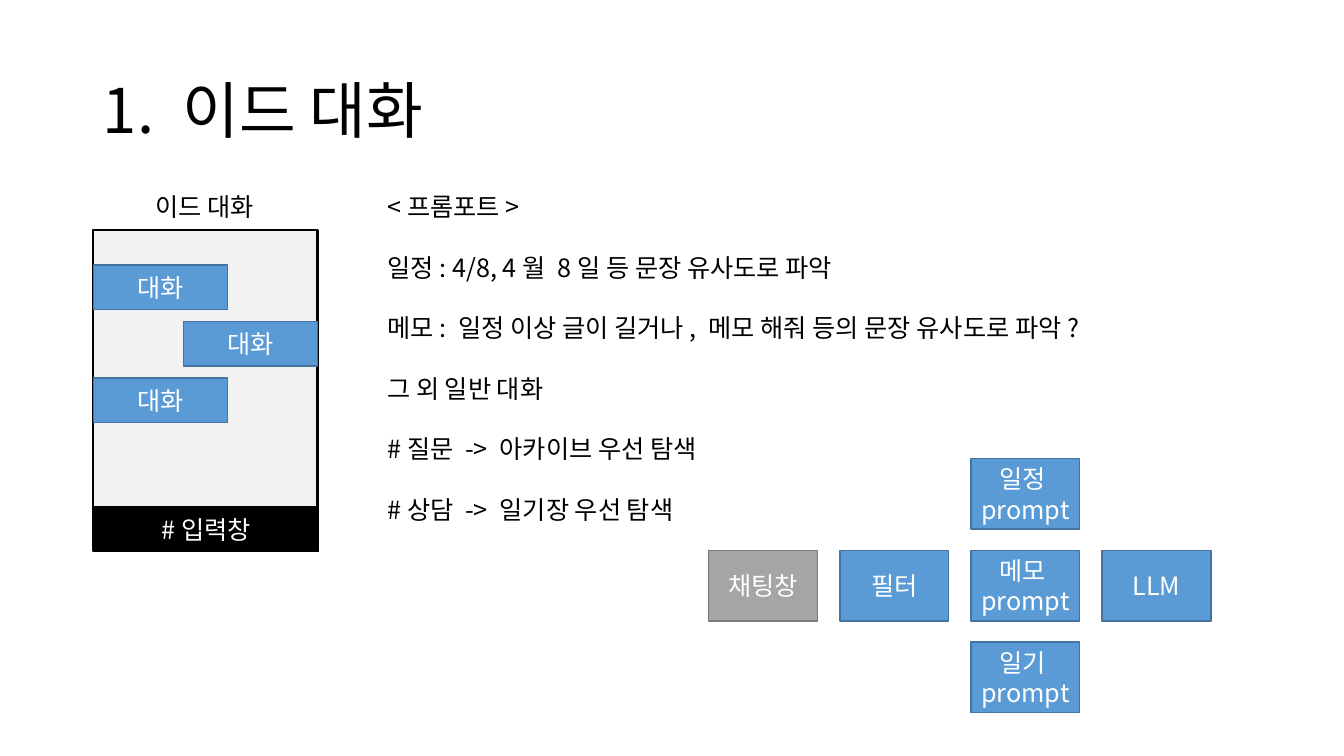
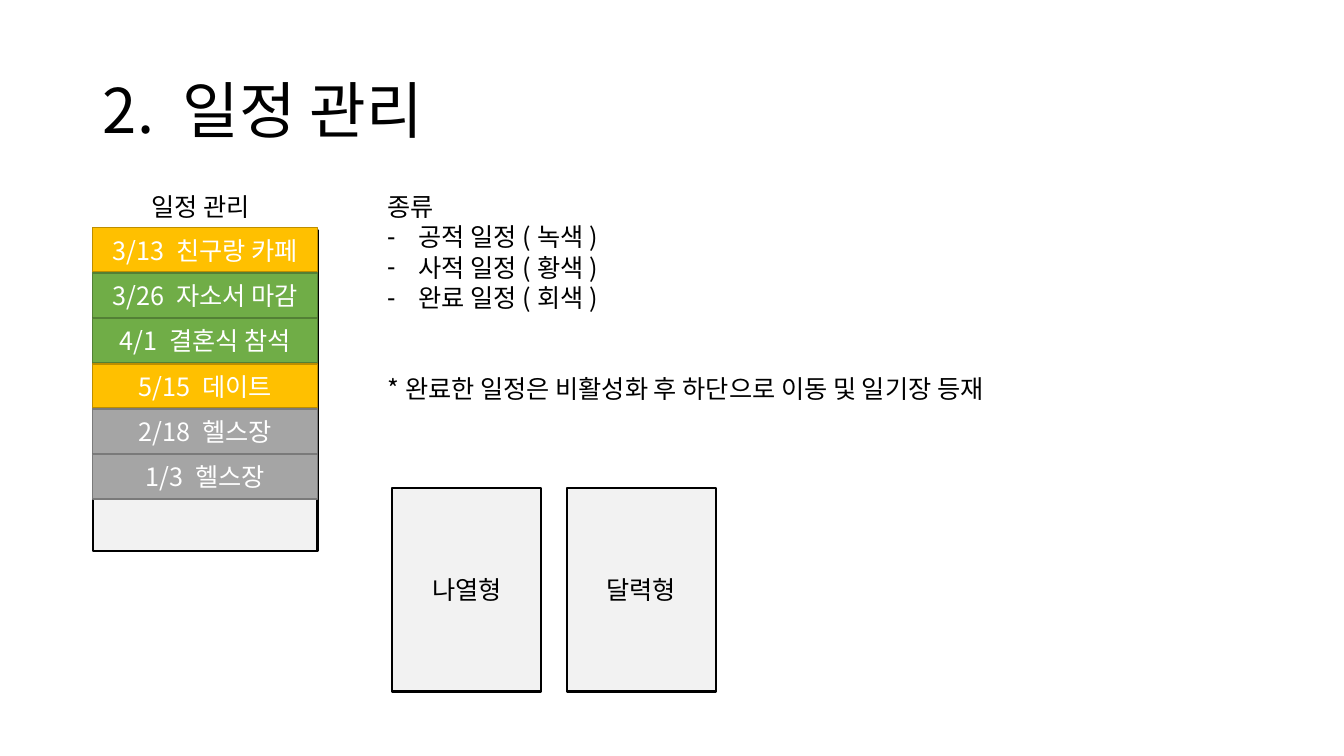
import lxml.etree
import pptx
import pptx.dml.color
import pptx.enum.text
import pptx.oxml.ns
import pptx.util

RGBColor = pptx.dml.color.RGBColor
ALIGN = pptx.enum.text.PP_ALIGN
ANCHOR = pptx.enum.text.MSO_ANCHOR
RECTANGLE = pptx.enum.shapes.MSO_SHAPE.RECTANGLE

BLACK = RGBColor(0x00, 0x00, 0x00)
WHITE = RGBColor(0xFF, 0xFF, 0xFF)
PALE = RGBColor(0xF2, 0xF2, 0xF2)
BLUE = RGBColor(0x5B, 0x9B, 0xD5)
GREEN = RGBColor(0x70, 0xAD, 0x47)
YELLOW = RGBColor(0xFF, 0xC0, 0x00)
GRAY = RGBColor(0xA5, 0xA5, 0xA5)
EDGES = {
    BLUE: RGBColor(0x43, 0x73, 0x9E),
    GREEN: RGBColor(0x53, 0x80, 0x35),
    YELLOW: RGBColor(0xBD, 0x8E, 0x00),
    GRAY: RGBColor(0x7A, 0x7A, 0x7A),
}

FONT = "Noto Sans CJK KR"
EMU_PER_PX = 9144
LINE_PT = 21.6
PHONE = (92, 228, 223, 319)
ROW_HEIGHT = 44


def px(length):
    return pptx.util.Emu(length * EMU_PER_PX)


def write_text(para, text, size=18, color=BLACK, align=ALIGN.LEFT,
               line=pptx.util.Pt(LINE_PT), before=0, bullet=None):
    para.alignment = align
    para.line_spacing = line
    para.space_before = pptx.util.Pt(before)
    properties = para._p.get_or_add_pPr()
    indent = px(31) if bullet else 0
    properties.set("marL", str(indent))
    properties.set("indent", str(-indent))
    mark = lxml.etree.SubElement(
        properties, pptx.oxml.ns.qn("a:buChar" if bullet else "a:buNone"))
    if bullet:
        mark.set("char", bullet)
    span = para.add_run()
    span.text = text
    span.font.size = pptx.util.Pt(size)
    span.font.name = FONT
    span.font.color.rgb = color
    east_asian = lxml.etree.SubElement(
        span._r.get_or_add_rPr(), pptx.oxml.ns.qn("a:ea"))
    east_asian.set("typeface", FONT)


class SlideWriter:
    def __init__(self):
        self.deck = pptx.Presentation()
        self.deck.slide_width = px(1333)
        self.deck.slide_height = px(750)
        self.page = None

    def add_page(self, title):
        self.page = self.deck.slides.add_slide(self.deck.slide_layouts[1])
        frame = self.place(self.page.shapes.title, 92, 40, 1150, 145)
        frame.vertical_anchor = ANCHOR.MIDDLE
        write_text(frame.paragraphs[0], title, size=44, line=0.9)

    def place(self, box, left, top, width, height):
        box.left, box.top = px(left), px(top)
        box.width, box.height = px(width), px(height)
        frame = box.text_frame
        frame.word_wrap = True
        frame.auto_size = pptx.enum.text.MSO_AUTO_SIZE.NONE
        return frame

    def body(self, height, items):
        frame = self.place(self.page.placeholders[1], 374, 185, 761, height)
        frame.vertical_anchor = ANCHOR.TOP
        for index, (text, style) in enumerate(items):
            para = frame.add_paragraph() if index else frame.paragraphs[0]
            write_text(para, text, **style)

    def label(self, left, text):
        box = self.page.shapes.add_textbox(px(left), px(185), px(130), px(40))
        box.text_frame.word_wrap = False
        write_text(box.text_frame.paragraphs[0], text, align=ALIGN.CENTER)

    def block(self, left, top, width, height, fill, text=None,
              color=WHITE, weight=1):
        box = self.page.shapes.add_shape(
            RECTANGLE, px(left), px(top), px(width), px(height))
        box.shadow.inherit = False
        box.fill.solid()
        box.fill.fore_color.rgb = fill
        box.line.color.rgb = EDGES.get(fill, BLACK)
        box.line.width = pptx.util.Pt(weight)
        if text:
            frame = box.text_frame
            frame.word_wrap = True
            frame.margin_left = frame.margin_right = px(5)
            frame.vertical_anchor = ANCHOR.MIDDLE
            write_text(frame.paragraphs[0], text, color=color,
                       align=ALIGN.CENTER)

    def panel(self, left, top, width, height, text=None):
        self.block(left, top, width, height, PALE, text, BLACK, 1.5)


def build_chat(writer):
    writer.add_page("1. 이드 대화")
    lines = [
        "<프롬포트>",
        "일정: 4/8, 4월 8일 등 문장 유사도로 파악",
        "메모: 일정 이상 글이 길거나, 메모 해줘 등의 문장 유사도로 파악?",
        "그 외 일반 대화",
        "#질문 -> 아카이브 우선 탐색",
        "#상담 -> 일기장 우선 탐색",
    ]
    writer.body(374, [(text, {"before": LINE_PT if index else 0})
                      for index, text in enumerate(lines)])
    writer.panel(*PHONE)
    writer.label(138, "이드 대화")
    writer.block(93, 503, 223, ROW_HEIGHT, BLACK, "#입력창")
    for index, left in enumerate((93, 182, 93)):
        writer.block(left, 263 + 56 * index, 133, ROW_HEIGHT, BLUE, "대화")
    flow = [
        (0, 0, GRAY, "채팅창"),
        (1, 0, BLUE, "필터"),
        (2, -1, BLUE, "일정prompt"),
        (2, 0, BLUE, "메모prompt"),
        (2, 1, BLUE, "일기prompt"),
        (3, 0, BLUE, "LLM"),
    ]
    for column, row, fill, text in flow:
        writer.block(703 + 130 * column, 546 + 91 * row, 108, 70, fill, text)


def build_schedule(writer):
    writer.add_page("2. 일정 관리")
    kinds = ["공적 일정(녹색)", "사적 일정(황색)", "완료 일정(회색)"]
    writer.body(222, [
        ("종류", {}),
        *[(kind, {"bullet": "-"}) for kind in kinds],
        ("*완료한 일정은 비활성화 후 하단으로 이동 및 일기장 등재",
         {"before": 2 * LINE_PT}),
    ])
    writer.label(134, "일정 관리")
    writer.panel(*PHONE)
    events = [
        (YELLOW, "3/13 친구랑 카페"),
        (GREEN, "3/26 자소서 마감"),
        (GREEN, "4/1 결혼식 참석"),
        (YELLOW, "5/15 데이트"),
        (GRAY, "2/18 헬스장"),
        (GRAY, "1/3 헬스장"),
    ]
    for index, (fill, text) in enumerate(events):
        writer.block(92, 226 + 45 * index, 223, ROW_HEIGHT, fill, text)
    for index, text in enumerate(("나열형", "달력형")):
        writer.panel(389 + 173 * index, 484, 148, 202, text)


def main():
    writer = SlideWriter()
    build_chat(writer)
    build_schedule(writer)
    writer.deck.save("out.pptx")


if __name__ == "__main__":
    main()
